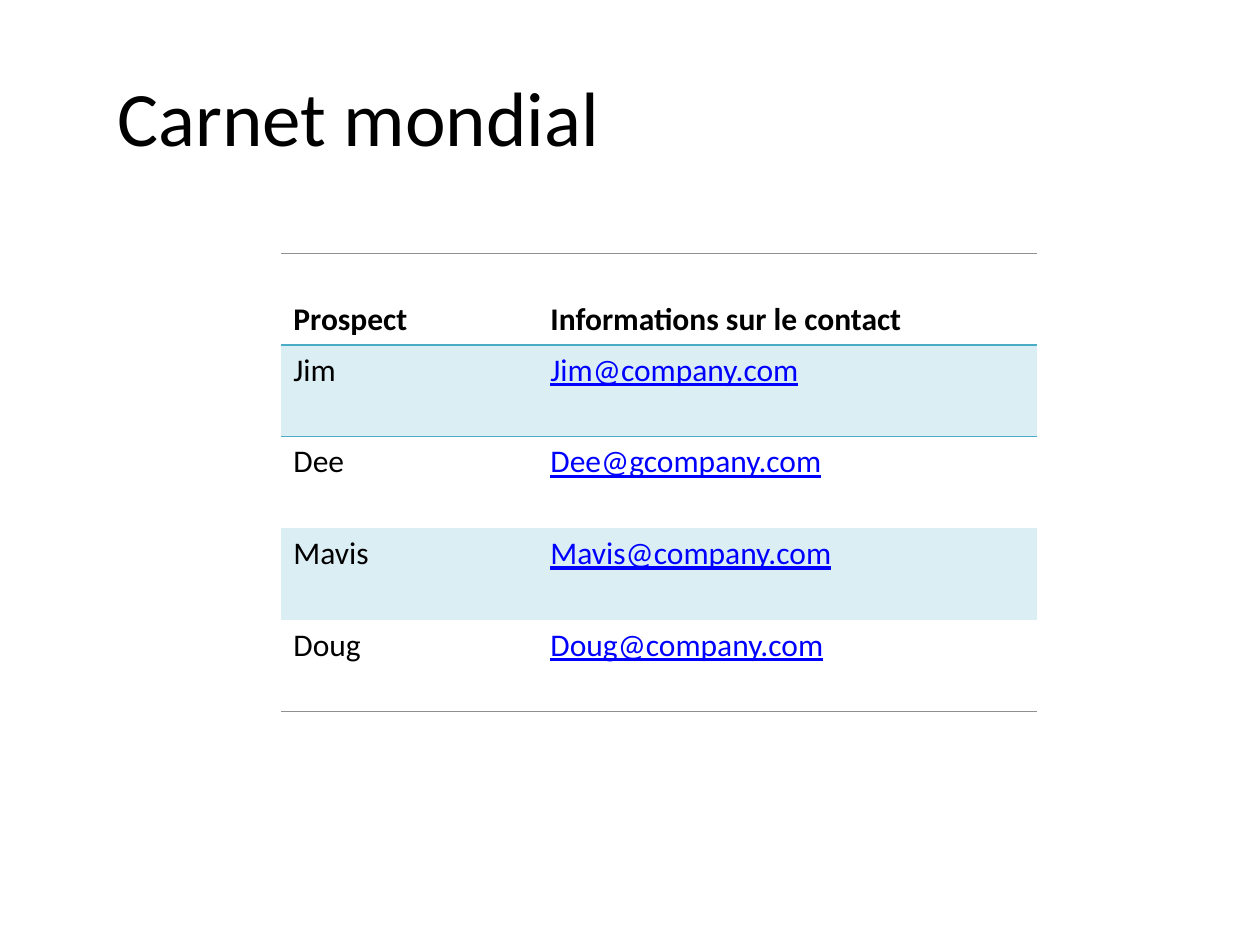
from lxml import etree
from pptx import Presentation
from pptx.dml.color import RGBColor
from pptx.enum.text import MSO_ANCHOR, PP_ALIGN
from pptx.oxml.ns import qn
from pptx.util import Pt

LEFT = PP_ALIGN.LEFT
MIDDLE, BOTTOM, TOP = MSO_ANCHOR.MIDDLE, MSO_ANCHOR.BOTTOM, MSO_ANCHOR.TOP
FONT = "Calibri"
BLACK, LINK, TEAL, BAND, GREY = "000000", "0000FF", "4BACC6", "DBEEF4", "909090"
PLAIN = "{2D5ABB26-0587-4C30-8999-92F81FD0307C}"
HEAD = ("Prospect", "Informations sur le contact")
PEOPLE = [
    ("Jim", "Jim@company.com"),
    ("Dee", "Dee@gcompany.com"),
    ("Mavis", "Mavis@company.com"),
    ("Doug", "Doug@company.com"),
]


def color(code):
    """Return the colour of a hex string."""
    return RGBColor.from_string(code)


def style(frame, size, code=BLACK, bold=False, line=False):
    """Format every run of a text frame."""
    for para in frame.paragraphs:
        para.alignment = LEFT
        for run in para.runs:
            font = run.font
            font.name, font.size = FONT, Pt(size)
            font.bold, font.underline = bold, line
            font.color.rgb = color(code)


def border(cell, side, code, width):
    """Draw one edge of a cell, side being T or B."""
    props = cell._tc.get_or_add_tcPr()
    edge = etree.Element(qn(f"a:ln{side}"), w=str(Pt(width)))
    fill = etree.SubElement(edge, qn("a:solidFill"))
    etree.SubElement(fill, qn("a:srgbClr"), val=code)
    props.insert(0, edge)


def add_title(slide, text, left, top, width, height):
    """Place the title in its box."""
    title = slide.shapes.title
    title.left, title.top = Pt(left), Pt(top)
    title.width, title.height = Pt(width), Pt(height)
    frame = title.text_frame
    frame.text = text
    frame.vertical_anchor = MIDDLE
    style(frame, 44)


def add_list(slide, left, top, width, height):
    """Place the contact table in its box."""
    rows = [HEAD] + PEOPLE
    last = len(rows) - 1
    table = slide.shapes.add_table(
        len(rows), len(HEAD), Pt(left), Pt(top), Pt(width), Pt(height)
    ).table
    table.first_row = table.horz_banding = False
    table._tbl.tblPr.find(qn("a:tableStyleId")).text = PLAIN
    for col, share in zip(table.columns, (0.34, 0.66)):
        col.width = Pt(width * share)
    for r, row in enumerate(rows):
        for c, text in enumerate(row):
            cell = table.cell(r, c)
            cell.text = text
            cell.vertical_anchor = TOP if r else BOTTOM
            mail = r > 0 and c == 1
            style(cell.text_frame, 18, LINK if mail else BLACK, r == 0, mail)
            if r % 2:
                cell.fill.solid()
                cell.fill.fore_color.rgb = color(BAND)
            else:
                cell.fill.background()
            if r == 0:
                border(cell, "B", TEAL, 1)
                border(cell, "T", GREY, 0.5)
            elif r == 1:
                border(cell, "T", TEAL, 1)
            elif r == last:
                border(cell, "B", GREY, 0.5)


def main():
    """Build the slide and save it."""
    deck = Presentation()
    deck.slide_width, deck.slide_height = Pt(720), Pt(540)
    slide = deck.slides.add_slide(deck.slide_layouts[5])
    add_title(slide, "Carnet mondial", 60, 21, 636, 90)
    add_list(slide, 160.5, 144.75, 432, 262)
    deck.save("out.pptx")


if __name__ == "__main__":
    main()
